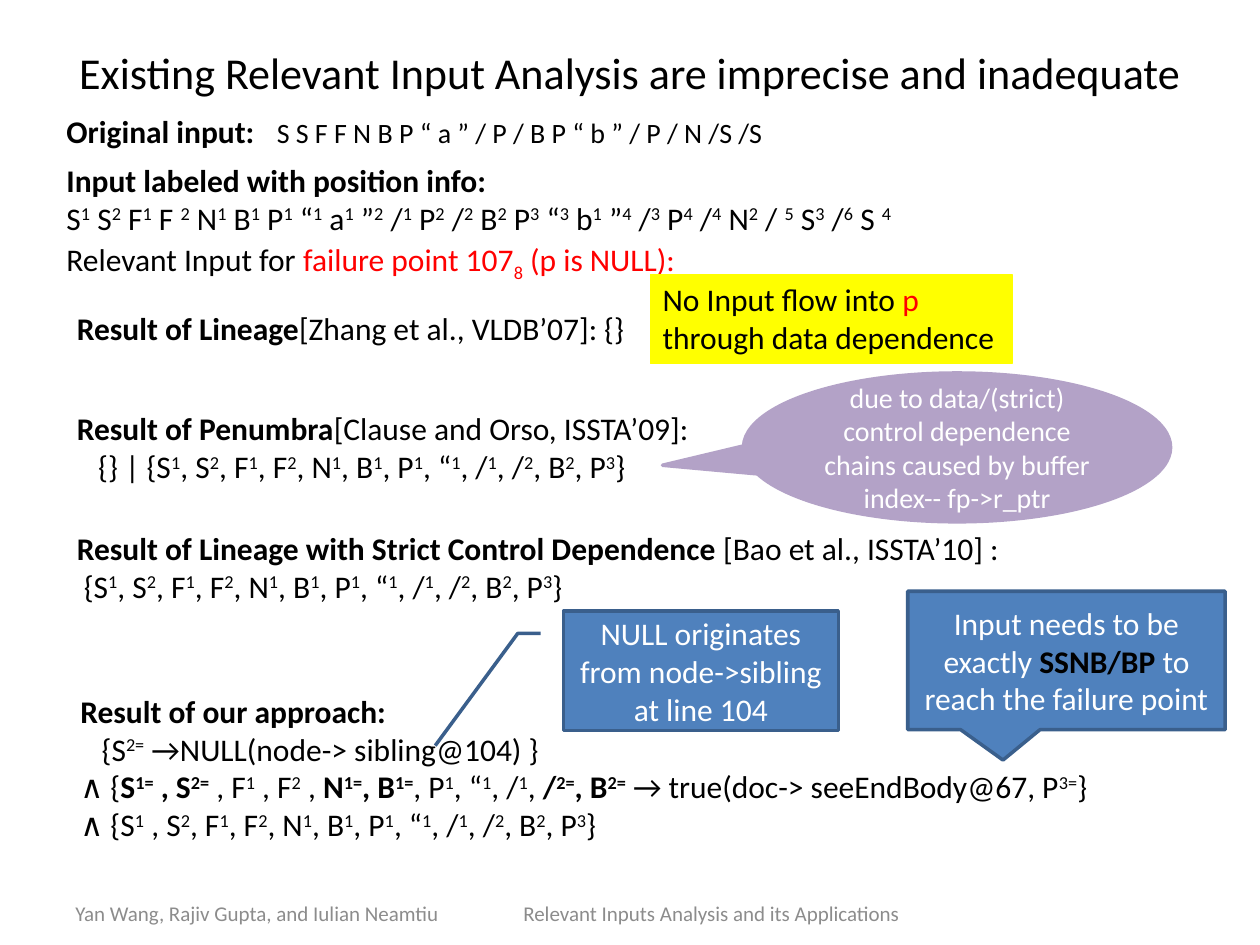
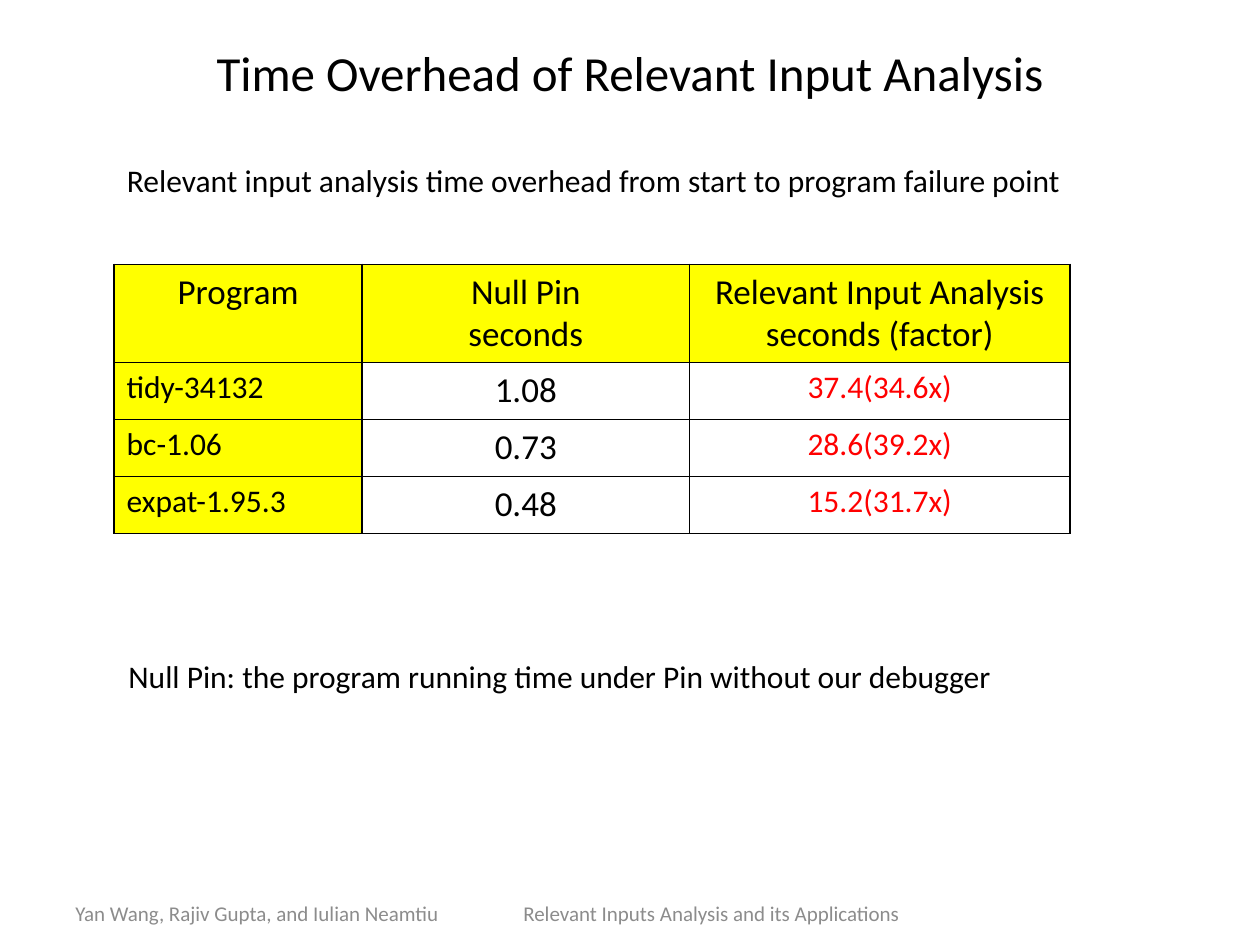
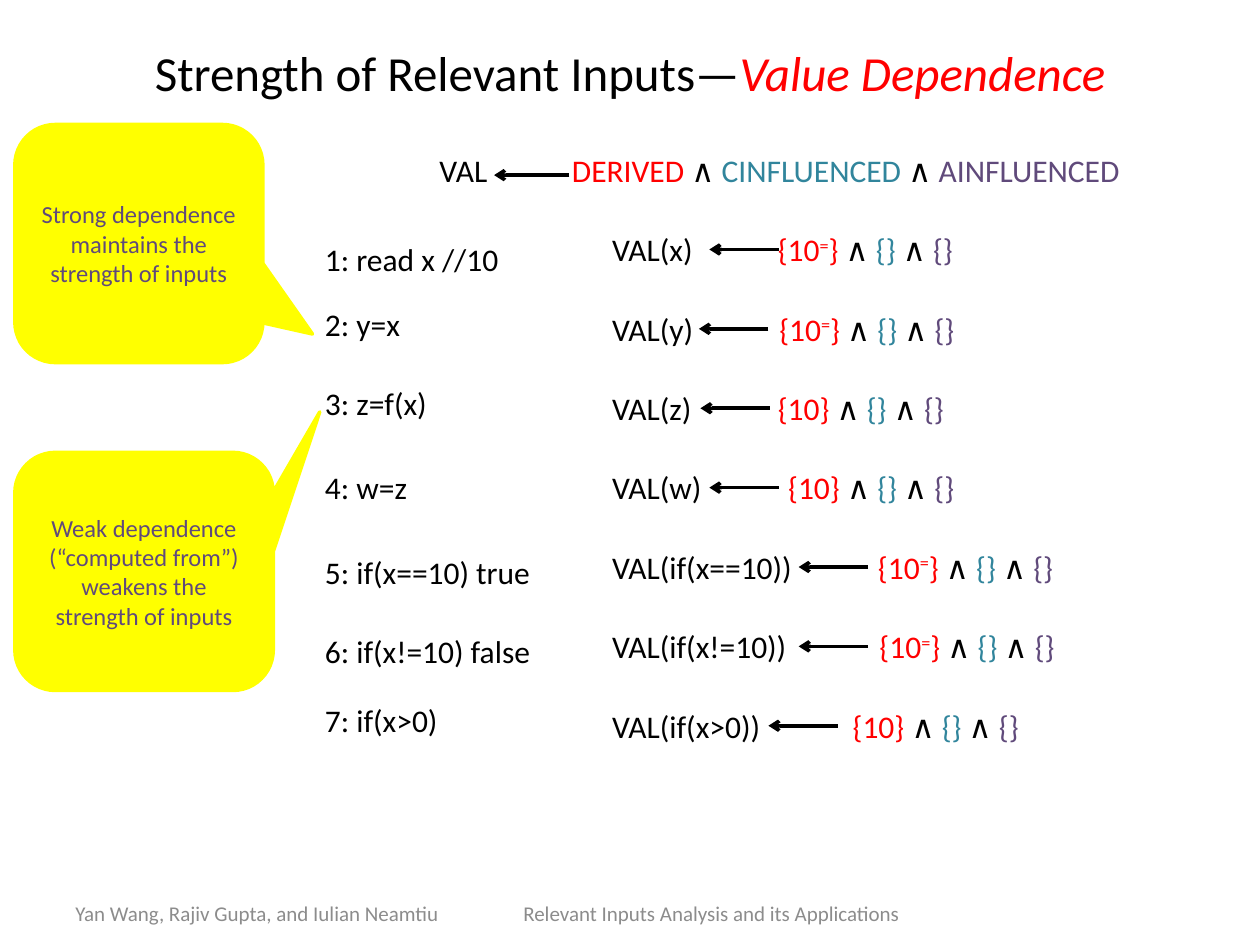
"""Build three slides on relevant input analysis: precision, time overhead and input strength."""
import dataclasses

import pptx
import pptx.dml.color
import pptx.enum.shapes
import pptx.enum.text
import pptx.oxml
import pptx.oxml.ns
import pptx.util

Cm, Pt = pptx.util.Cm, pptx.util.Pt
RGB = pptx.dml.color.RGBColor.from_string
ALIGN = pptx.enum.text.PP_ALIGN
ANCHOR = pptx.enum.text.MSO_ANCHOR
SHAPE = pptx.enum.shapes.MSO_SHAPE
qn = pptx.oxml.ns.qn


@dataclasses.dataclass(frozen=True)
class Theme:
    font: str = "Calibri"
    black: str = "000000"
    white: str = "FFFFFF"
    red: str = "FF0000"
    teal: str = "31859C"
    purple: str = "604A7B"
    lilac: str = "B3A2C7"
    yellow: str = "FFFF00"
    blue: str = "4F81BD"
    navy: str = "3A5F8C"
    grey: str = "8C8C8C"
    title: float = 28
    long_title: float = 25.2
    table: float = 20
    body: float = 18
    small: float = 16
    callout: float = 14
    footer: float = 12


theme = Theme()
COLOUR_MARKS = {"#": theme.red, "$": theme.teal, "%": theme.purple, "§": theme.black}
MARKS = set("*~^") | set(COLOUR_MARKS)
RAISED = "¹²³⁴⁵⁶⁼"
LOWERED = "₈"
LEVEL = str.maketrans(RAISED + LOWERED, "123456=8")


def write(frame, text, size=theme.body, color=theme.black, align=ALIGN.LEFT,
          anchor=ANCHOR.TOP, indents=(), tab=None):
    """Write lines marked * bold, ~ italic, ^ small, # red, $ teal, % purple, § black."""
    frame.word_wrap = True
    frame.vertical_anchor = anchor
    for number, line in enumerate(text.split("\n")):
        paragraph = frame.paragraphs[0] if number == 0 else frame.add_paragraph()
        paragraph.alignment = align
        properties = paragraph._p.get_or_add_pPr()
        if number < len(indents):
            properties.set("marL", str(Cm(indents[number])))
        if tab:
            stops = properties.makeelement(qn("a:tabLst"), {})
            stops.append(stops.makeelement(qn("a:tab"), {"pos": str(Cm(tab)), "algn": "l"}))
            properties.append(stops)
        active, pieces = frozenset(), []
        for letter in line:
            if letter in MARKS:
                active ^= {letter}
                continue
            baseline = 30000 if letter in RAISED else -25000 if letter in LOWERED else 0
            if not pieces or pieces[-1][:2] != [active, baseline]:
                pieces.append([active, baseline, ""])
            pieces[-1][2] += letter.translate(LEVEL)
        for active, baseline, words in pieces:
            run = paragraph.add_run()
            run.text = words
            run.font.name = theme.font
            run.font.size = Pt(theme.small if "^" in active else size)
            run.font.bold = "*" in active
            run.font.italic = "~" in active
            tint = next((COLOUR_MARKS[mark] for mark in active if mark in COLOUR_MARKS), color)
            run.font.color.rgb = RGB(tint)
            if baseline:
                run._r.get_or_add_rPr().set("baseline", str(baseline))


def place(slide, box, text, kind=None, fill=None, line=None, weight=2, adjust=(), **style):
    """Add a text box, or a filled preset shape when a kind is given."""
    area = [Cm(length) for length in box]
    if kind is None:
        shape = slide.shapes.add_textbox(*area)
    else:
        shape = slide.shapes.add_shape(kind, *area)
        shape.shadow.inherit = False
        shape.fill.solid()
        shape.fill.fore_color.rgb = RGB(fill)
        shape.line.color.rgb = RGB(line or fill)
        shape.line.width = Pt(weight)
        for index, value in enumerate(adjust):
            shape.adjustments[index] = value
    write(shape.text_frame, text, **style)


deck = pptx.Presentation()
deck.slide_width, deck.slide_height = Cm(25.4), Cm(19.05)
centred = {"align": ALIGN.CENTER, "anchor": ANCHOR.MIDDLE}

titles = [
    ("Existing Relevant Input Analysis are imprecise and inadequate", theme.long_title),
    ("Time Overhead of Relevant Input Analysis", theme.title),
    ("Strength of Relevant Inputs—#~Value Dependence~#", theme.title),
]
for heading, size in titles:
    slide = deck.slides.add_slide(deck.slide_layouts[5])
    title = slide.shapes.title
    title.left, title.top, title.width, title.height = Cm(1.27), Cm(0.22), Cm(22.86), Cm(2.46)
    write(title.text_frame, heading, size=size, **centred)
    place(slide, (1.27, 17.78, 18.4, 1.27),
          "Yan Wang, Rajiv Gupta, and Iulian Neamtiu\tRelevant Inputs Analysis and its Applications",
          size=theme.footer, color=theme.grey, anchor=ANCHOR.MIDDLE, tab=9.03)
precision, overhead, strength = deck.slides

place(precision, (1.09, 2.13, 16, 1.02),
      "*Original input:*\t^S S F F N B P “ a ” / P / B P “ b ” / P / N /S /S^", tab=4.24)

relevant = "{S¹, S², F¹, F², N¹, B¹, P¹, “¹, /¹, /², B², P³}"
findings = [
    ((1.09, 3.12, 19, 1.8), (),
     "*Input labeled with position info:*\n"
     "S¹ S² F¹ F ² N¹ B¹ P¹ “¹ a¹ ”² /¹ P² /² B² P³ “³ b¹ ”⁴ /³ P⁴ /⁴ N² / ⁵ S³ /⁶ S ⁴"),
    ((1.37, 13.82, 22.15, 3.33), (0, 0.43),
     "*Result of our approach:*\n"
     "{S²⁼ →NULL(node-> sibling@104) }\n"
     "∧ {*S¹⁼ , S²⁼* , F¹ , F² , *N¹⁼, B¹⁼*, P¹, “¹, /¹, */²⁼, B²⁼* "
     "→ true(doc-> seeEndBody@67, P³⁼}\n"
     "∧ " + relevant.replace("¹, S", "¹ , S")),
    ((1.09, 4.72, 24.13, 1.02), (), "Relevant Input for #failure point 107₈ (p is NULL):#"),
    ((1.3, 6.1, 11.86, 1.02), (), "*Result of Lineage*[Zhang et al., VLDB’07]: {}"),
    ((1.3, 8.13, 13.6, 1.8), (0, 0.43),
     "*Result of Penumbra*[Clause and Orso, ISSTA’09]:\n{} | " + relevant),
    ((1.3, 10.54, 19.8, 1.8), (0, 0.14),
     "*Result of Lineage with Strict Control Dependence* [Bao et al., ISSTA’10] :\n" + relevant),
]
for box, indents, text in findings:
    place(precision, box, text, indents=indents)

place(precision, (14.99, 7.52, 8.61, 3),
      "due to data/(strict) control dependence chains caused by buffer index-- fp->r_ptr",
      SHAPE.OVAL_CALLOUT, theme.lilac, adjust=(-0.69, 0.12),
      size=theme.small, color=theme.white, **centred)
place(precision, (13.11, 5.53, 7.29, 1.8), "No Input flow into #p#\nthrough data dependence",
      SHAPE.RECTANGLE, theme.yellow, weight=0.75)
place(precision, (11.36, 12.32, 5.54, 2.41), "NULL originates from node->sibling at line 104",
      SHAPE.LINE_CALLOUT_2, theme.blue, theme.navy, color=theme.white, **centred)
place(precision, (18.3, 11.92, 6.4, 2.79),
      "Input needs to be exactly *§SSNB/BP §*to reach the failure point",
      SHAPE.RECTANGULAR_CALLOUT, theme.blue, theme.navy,
      adjust=(-0.2, 0.72), color=theme.white, **centred)

timings = [
    ("Program", "Null Pin\nseconds", "Relevant Input Analysis\nseconds (factor)"),
    ("tidy-34132", "1.08", "37.4(34.6x)"),
    ("bc-1.06", "0.73", "28.6(39.2x)"),
    ("expat-1.95.3", "0.48", "15.2(31.7x)"),
]
table = overhead.shapes.add_table(4, 3, Cm(2.3), Cm(5.33), Cm(19.27), Cm(5.43)).table
table.first_row = table.horz_banding = False
for column, width in zip(table.columns, (5, 6.6, 7.67)):
    column.width = Cm(width)
for row, height in zip(table.rows, (1.98, 1.15, 1.15, 1.15)):
    row.height = Cm(height)
for r, record in enumerate(timings):
    for c, text in enumerate(record):
        cell = table.cell(r, c)
        borders = cell._tc.get_or_add_tcPr()
        for side in ("lnL", "lnR", "lnT", "lnB"):
            borders.append(pptx.oxml.parse_xml(
                f'<a:{side} xmlns:a="http://schemas.openxmlformats.org/drawingml/2006/main" '
                f'w="{Pt(1)}"><a:solidFill><a:srgbClr val="{theme.black}"/></a:solidFill></a:{side}>'))
        if r == 0 or c == 0:
            cell.fill.solid()
            cell.fill.fore_color.rgb = RGB(theme.yellow)
        else:
            cell.fill.background()
        write(cell.text_frame, text,
              size=theme.table if r == 0 or c == 1 else theme.body,
              color=theme.red if r and c == 2 else theme.black,
              align=ALIGN.LEFT if r and c == 0 else ALIGN.CENTER)
place(overhead, (2.34, 13.13, 18.6, 1.02),
      "Null Pin: the program running time under Pin without our debugger")
place(overhead, (2.31, 3.12, 19.9, 1.02),
      "Relevant input analysis time overhead from start to program failure point")

statements = [
    (4.72, "1: read x //10", "x", "{10⁼}", 15.7, 15.68),
    (6.02, "2: y=x", "y", "{10⁼}", 15.49, 15.71),
    (7.62, "3: z=f(x)", "z", "{10}", 15.52, 15.68),
    (9.32, "4: w=z", "w", "{10}", 15.7, 15.89),
    (11.02, "5: if(x==10) true", "if(x==10)", "{10⁼}", 17.5, 17.7),
    (12.62, "6: if(x!=10) false", "if(x!=10)", "{10⁼}", 17.5, 17.73),
    (14, "7: if(x>0)", "if(x>0)", "{10}", 16.89, 17.19),
]
arrows = [(11.48, 9.96, 3.53)]
for index, (code_top, code, operand, derived, arrow_start, derived_left) in enumerate(statements):
    value_top = 4.52 + 1.6 * index
    place(strength, (6.3, code_top, 5.2, 1.02), code)
    place(strength, (12.09, value_top, 10.2, 1.02),
          f"VAL({operand})\t#{derived}# ∧ ${{}}$ ∧ %{{}}%", tab=derived_left - 12.34)
    arrows.append((arrow_start, arrow_start - 1.4, value_top + 0.51))
place(strength, (8.61, 2.92, 16.1, 1.02),
      "VAL\t#DERIVED# ∧ $CINFLUENCED$ ∧ %AINFLUENCED%", tab=2.67)

for start, end, y in arrows:
    arrow = strength.shapes.add_connector(
        pptx.enum.shapes.MSO_CONNECTOR.STRAIGHT, Cm(start), Cm(y), Cm(end), Cm(y))
    arrow.line.color.rgb = RGB(theme.black)
    arrow.line.width = Pt(2)
    outline = arrow.line._get_or_add_ln()
    outline.append(outline.makeelement(qn("a:tailEnd"), {"type": "arrow"}))
    arrow._element.spPr.append(outline.makeelement(qn("a:effectLst"), {}))

dependences = [
    ((0.3, 2.51, 5, 4.8), (0.7, 0.38, 0.17),
     "Strong dependence maintains the strength of inputs"),
    ((0.3, 9.12, 5.21, 4.8), (0.68, -0.67, 0.17),
     "Weak dependence (“computed from”)\nweakens the strength of inputs"),
]
for box, adjust, text in dependences:
    place(strength, box, text, SHAPE.ROUNDED_RECTANGULAR_CALLOUT, theme.yellow,
          adjust=adjust, size=theme.callout, color=theme.purple, **centred)

deck.save("out.pptx")
